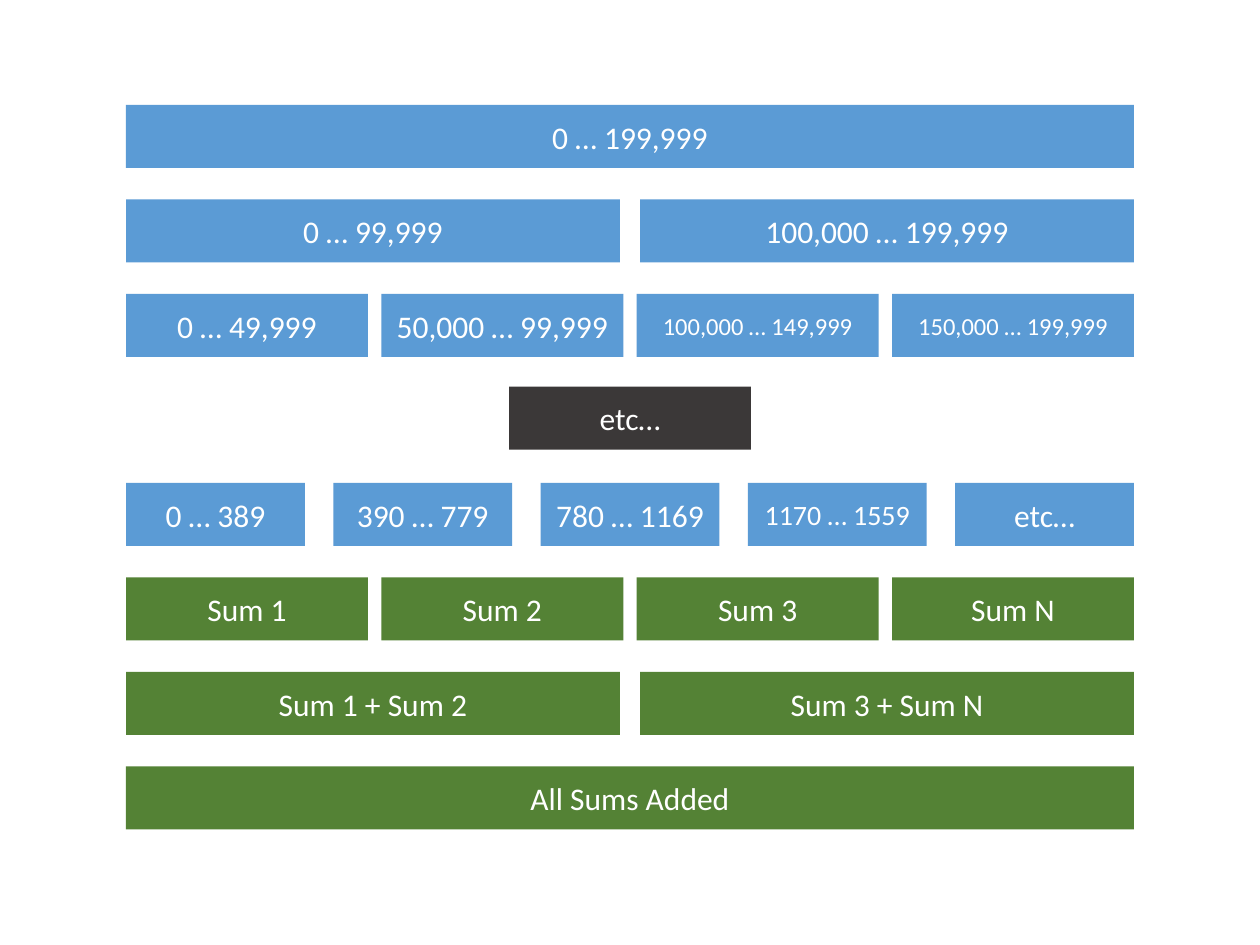
from pptx import Presentation
from pptx import util as u
from pptx.dml import color
from pptx.enum import shapes, text


def rgb(value):
    return color.RGBColor.from_string(value)


BLUE, GREEN, CHARCOAL, WHITE = "5B9BD5", "548235", "3B3838", "FFFFFF"

presentation = Presentation()
presentation.slide_width = u.Inches(10)
presentation.slide_height = u.Inches(7.5)
width, height = presentation.slide_width, presentation.slide_height
slide = presentation.slides.add_slide(presentation.slide_layouts[6])

top_margin = height / 9
row_pitch = height / 10
box_height = height / 15
row_width = width * 0.8

levels = [
    (0, 0.8, BLUE, ["0 … 199,999"]),
    (1, 0.392, BLUE, ["0 … 99,999", "100,000 … 199,999"]),
    (2, 0.192, BLUE, ["0 … 49,999", "50,000 … 99,999",
                      "100,000 … 149,999", "150,000 … 199,999"]),
    (2.98, 0.192, CHARCOAL, ["etc…"]),
    (4, 0.142, BLUE, ["0 … 389", "390 … 779", "780 … 1169", "1170 … 1559", "etc…"]),
    (5, 0.192, GREEN, ["Sum 1", "Sum 2", "Sum 3", "Sum N"]),
    (6, 0.392, GREEN, ["Sum 1 + Sum 2", "Sum 3 + Sum N"]),
    (7, 0.8, GREEN, ["All Sums Added"]),
]
small_sizes = {"100,000 … 149,999": 14, "150,000 … 199,999": 14, "1170 … 1559": 16}
frame_format = {"word_wrap": True, "vertical_anchor": text.MSO_ANCHOR.MIDDLE}

for row, share, fill, labels in levels:
    box_width = width * share
    step = (row_width - box_width) / max(len(labels) - 1, 1)
    first_left = (width - box_width - step * (len(labels) - 1)) / 2
    for column, label in enumerate(labels):
        shape = slide.shapes.add_shape(
            shapes.MSO_SHAPE.RECTANGLE,
            round(first_left + column * step), round(top_margin + row * row_pitch),
            round(box_width), round(box_height))
        shape.shadow.inherit = False
        shape.fill.solid()
        shape.fill.fore_color.rgb = rgb(fill)
        shape.line.fill.background()
        for name, value in frame_format.items():
            setattr(shape.text_frame, name, value)
        paragraph = shape.text_frame.paragraphs[0]
        paragraph.alignment = text.PP_ALIGN.CENTER
        run = paragraph.add_run()
        run.text = label
        font_format = {"name": "Calibri", "size": u.Pt(small_sizes.get(label, 18))}
        for name, value in font_format.items():
            setattr(run.font, name, value)
        run.font.color.rgb = rgb(WHITE)

presentation.save("out.pptx")
